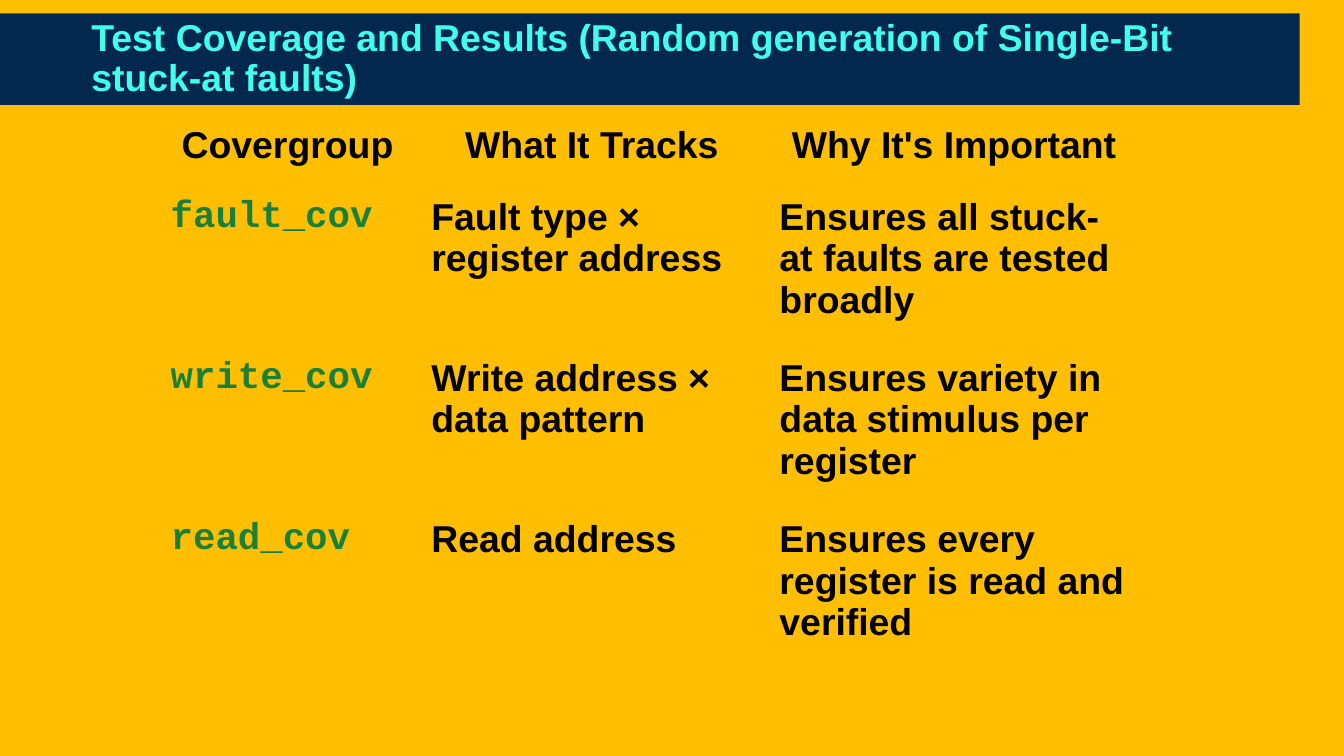
import pptx
import pptx.util
import pptx.dml.color
import pptx.enum.text
import pptx.oxml.ns

Inches = pptx.util.Inches
RGB = pptx.dml.color.RGBColor
GOLD = RGB(0xFF, 0xBE, 0x00)
NAVY = RGB(0x02, 0x28, 0x50)
CYAN = RGB(0x42, 0xFE, 0xED)
GREEN = RGB(0x18, 0x80, 0x38)
BLACK = RGB(0, 0, 0)
LEFT = pptx.enum.text.PP_ALIGN.LEFT
CENTER = pptx.enum.text.PP_ALIGN.CENTER
MIDDLE = pptx.enum.text.MSO_ANCHOR.MIDDLE
PLAIN = "{2D5ABB26-0587-4C30-8999-92F81FD0307C}"  # no style, no grid

TITLE = ("Test Coverage and Results "
         "(Random generation of Single-Bit stuck-at faults)")
WIDTHS = (1.94, 2.59, 2.8)
HEAD, ROW = 0.58, 1.2
ROWS = (
    ("Covergroup", "What It Tracks", "Why It's Important"),
    ("fault_cov", "Fault type × register address",
     "Ensures all stuck-at faults are tested broadly"),
    ("write_cov", "Write address × data pattern",
     "Ensures variety in data stimulus per register"),
    ("read_cov", "Read address",
     "Ensures every register is read and verified"),
)


def write(frame, text, font="Arial", color=BLACK, align=LEFT, space=1.0):
    para = frame.paragraphs[0]
    para.alignment = align
    para.line_spacing = space
    run = para.add_run()
    run.text = text
    run.font.name = font
    run.font.size = pptx.util.Pt(20)
    run.font.bold = True
    run.font.color.rgb = color


def add_title(slide, left, top, width, height):
    title = slide.shapes.title
    title.left, title.top = Inches(left), Inches(top)
    title.width, title.height = Inches(width), Inches(height)
    title.fill.solid()
    title.fill.fore_color.rgb = NAVY
    frame = title.text_frame
    frame.word_wrap = True
    frame.auto_size = pptx.enum.text.MSO_AUTO_SIZE.NONE
    frame.vertical_anchor = MIDDLE
    frame.margin_left, frame.margin_right = Inches(0.68), Inches(0.15)
    frame.margin_top = frame.margin_bottom = Inches(0.04)
    write(frame, TITLE, color=CYAN, space=0.9)


def add_cover(slide, left, top):
    """Add the covergroup table with its top left corner at the given point."""
    heights = [HEAD] + [ROW] * (len(ROWS) - 1)
    table = slide.shapes.add_table(
        len(ROWS), len(WIDTHS), Inches(left), Inches(top),
        Inches(sum(WIDTHS)), Inches(sum(heights))).table
    table.first_row = table.horz_banding = False
    style = table._tbl.tblPr.find(pptx.oxml.ns.qn("a:tableStyleId"))
    style.text = PLAIN
    for col, width in zip(table.columns, WIDTHS):
        col.width = Inches(width)
    for row, height, texts in zip(table.rows, heights, ROWS):
        row.height = Inches(height)
        for col, (cell, text) in enumerate(zip(row.cells, texts)):
            cell.fill.background()
            cell.margin_left = cell.margin_right = Inches(0.1)
            cell.margin_top = cell.margin_bottom = Inches(0.1)
            if texts is ROWS[0]:
                look = {"align": CENTER, "space": 1.15}
            elif col == 0:
                look = {"font": "Courier New", "color": GREEN}
            else:
                look = {}
            write(cell.text_frame, text, **look)


def main():
    deck = pptx.Presentation()
    deck.slide_width = Inches(10)
    deck.slide_height = deck.slide_width * 9 // 16
    slide = deck.slides.add_slide(deck.slide_layouts[5])
    slide.background.fill.solid()
    slide.background.fill.fore_color.rgb = GOLD
    add_title(slide, 0, 0.1, 9.67, 0.68)
    add_cover(slide, 1.17, 0.78)
    deck.save("out.pptx")


if __name__ == "__main__":
    main()
